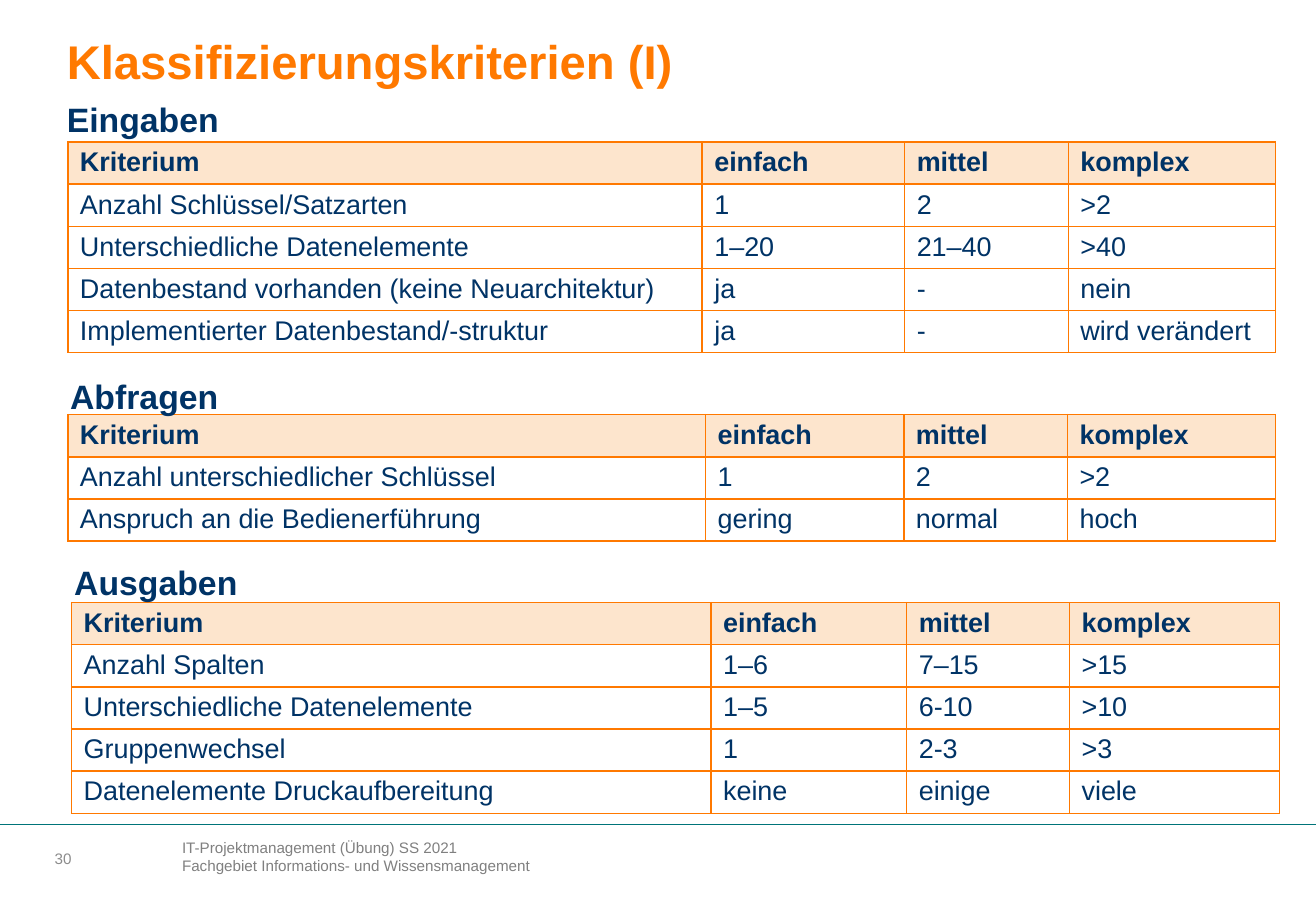
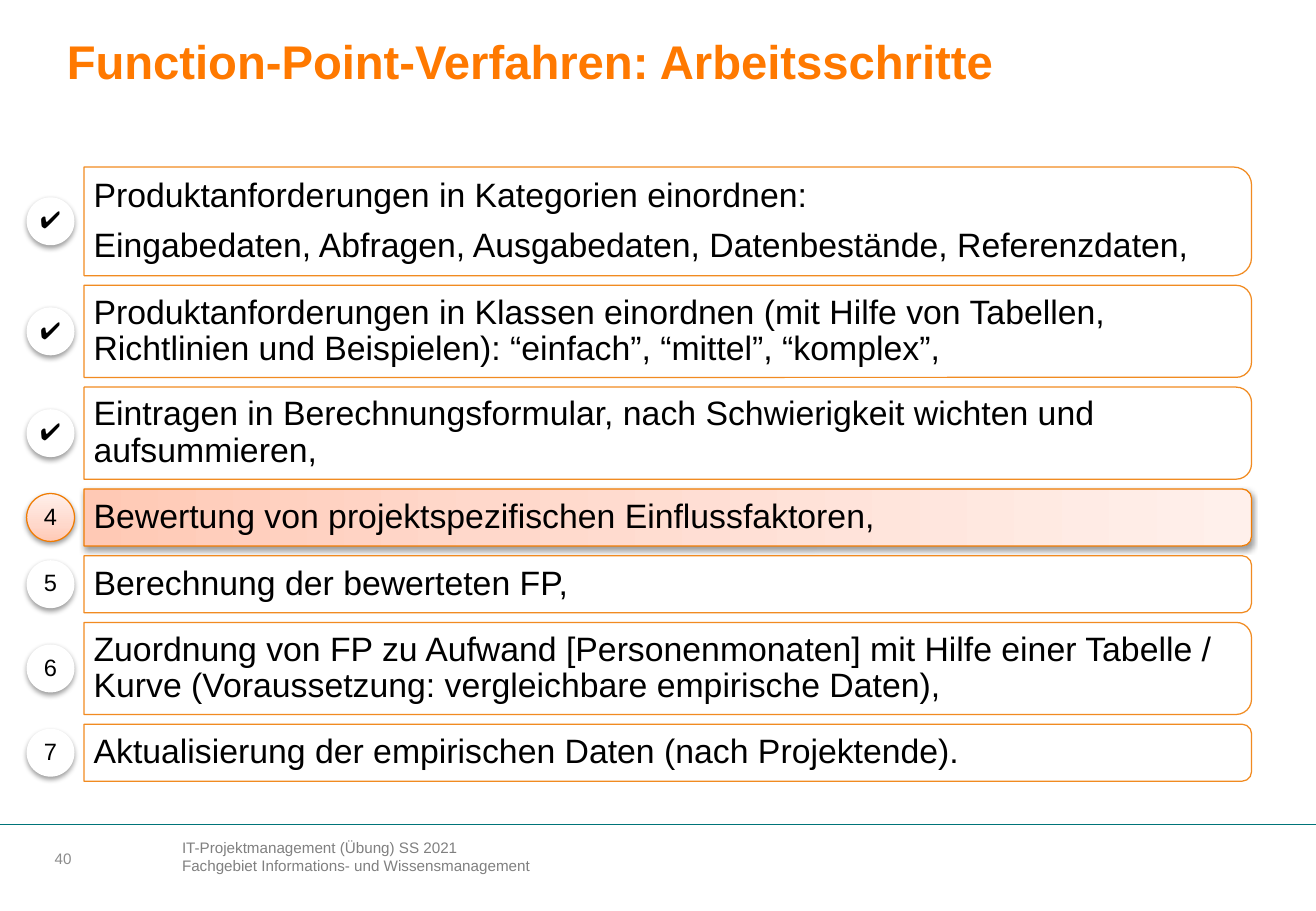
from dataclasses import dataclass

from lxml.etree import SubElement
from pptx import Presentation
from pptx.dml.color import RGBColor
from pptx.enum.shapes import MSO_CONNECTOR, MSO_SHAPE
from pptx.enum.text import MSO_ANCHOR as Anchor, MSO_AUTO_SIZE, PP_ALIGN as Align
from pptx.oxml.ns import qn
from pptx.util import Pt

COLORS = {
    "orange": "FF7900", "navy": "003366", "header": "FDE5CD", "white": "FFFFFF",
    "black": "000000", "footer": "808080", "number": "8C8C8C", "rule": "007479",
    "step_line": "F07F09", "active_line": "F07C03",
}
ACTIVE_STOPS = ((0, "FFC9B5"), (35, "FFD8CB"), (100, "FFF0EB"))
FONT = "Arial"
SLIDE_W, SLIDE_H = 780, 540
ROW_H = 25
STEP_LEFT, STEP_TOP, STEP_W, STEP_GAP = 49.8, 99, 692, 5.75
MARKER_LEFT, MARKER_SIZE = 15.8, 28.4
TWO_PARAGRAPHS, TWO_LINES, ONE_LINE = 64.4, 54.6, 33.8


@dataclass(frozen=True)
class Box:
    left: float
    top: float
    width: float
    height: float


@dataclass(frozen=True)
class Style:
    size: float
    color: str
    bold: bool = False
    align: Align = Align.LEFT
    line_spacing: float = 1.0
    space_after: float = 0


@dataclass(frozen=True)
class Criteria:
    heading: str
    heading_box: Box
    left: float
    top: float
    widths: tuple[float, ...]
    rows: tuple[tuple[str, ...], ...]


@dataclass(frozen=True)
class Step:
    marker: str
    height: float
    lines: tuple[str, ...]
    bold_marker: bool = False
    active: bool = False


TITLE = Style(28, "orange", True)
HEADING = Style(20, "navy", True)
HEADER_CELL = Style(16, "navy", True)
BODY_CELL = Style(16, "navy")
FOOTER = Style(9, "footer")
NUMBER = Style(9, "number")
STEP_TEXT = Style(20, "black", line_spacing=0.9, space_after=7.7)

HEADER_ROW = ("Kriterium", "einfach", "mittel", "komplex")
CRITERIA = (
    Criteria("Eingaben", Box(32.4, 54.8, 724, 409), 40.2, 84.2, (376, 120, 97, 123), (
        ("Anzahl Schlüssel/Satzarten", "1", "2", ">2"),
        ("Unterschiedliche Datenelemente", "1–20", "21–40", ">40"),
        ("Datenbestand vorhanden (keine Neuarchitektur)", "ja", "-", "nein"),
        ("Implementierter Datenbestand/-struktur", "ja", "-", "wird verändert"),
    )),
    Criteria("Abfragen", Box(34.5, 217.5, 163, 34.5), 40.2, 245.8, (378, 117.5, 97, 123.5), (
        ("Anzahl unterschiedlicher Schlüssel", "1", "2", ">2"),
        ("Anspruch an die Bedienerführung", "gering", "normal", "hoch"),
    )),
    Criteria("Ausgaben", Box(36.9, 327.6, 138, 34.5), 42.4, 357.2, (379, 116, 96.5, 124.5), (
        ("Anzahl Spalten", "1–6", "7–15", ">15"),
        ("Unterschiedliche Datenelemente", "1–5", "6-10", ">10"),
        ("Gruppenwechsel", "1", "2-3", ">3"),
        ("Datenelemente Druckaufbereitung", "keine", "einige", "viele"),
    )),
)
STEPS = (
    Step("✔", TWO_PARAGRAPHS, (
        "Produktanforderungen in Kategorien einordnen:",
        "Eingabedaten, Abfragen, Ausgabedaten, Datenbestände, Referenzdaten,",
    ), bold_marker=True),
    Step("✔", TWO_LINES, (
        "Produktanforderungen in Klassen einordnen (mit Hilfe von Tabellen, "
        "Richtlinien und Beispielen): “einfach”, “mittel”, “komplex”,",
    ), bold_marker=True),
    Step("✔", TWO_LINES, (
        "Eintragen in Berechnungsformular, nach Schwierigkeit wichten und aufsummieren,",
    )),
    Step("4", ONE_LINE, ("Bewertung von projektspezifischen Einflussfaktoren,",), active=True),
    Step("5", ONE_LINE, ("Berechnung der bewerteten FP,",)),
    Step("6", TWO_LINES, (
        "Zuordnung von FP zu Aufwand [Personenmonaten] mit Hilfe einer Tabelle / "
        "Kurve (Voraussetzung: vergleichbare empirische Daten),",
    )),
    Step("7", ONE_LINE, ("Aktualisierung der empirischen Daten (nach Projektende).",)),
)


def rgb(name: str) -> RGBColor:
    return RGBColor.from_string(COLORS[name])


def lengths(box: Box) -> tuple[Pt, ...]:
    return Pt(box.left), Pt(box.top), Pt(box.width), Pt(box.height)


def write(frame, lines: tuple[str, ...], style: Style) -> None:
    for index, line in enumerate(lines):
        paragraph = frame.paragraphs[0] if index == 0 else frame.add_paragraph()
        paragraph.alignment = style.align
        paragraph.line_spacing = style.line_spacing
        paragraph.space_before = Pt(0)
        paragraph.space_after = Pt(style.space_after)
        run = paragraph.add_run()
        run.text = line
        run.font.name = FONT
        run.font.size = Pt(style.size)
        run.font.bold = style.bold
        run.font.color.rgb = rgb(style.color)


def fill_frame(frame, lines: tuple[str, ...], style: Style, anchor=Anchor.MIDDLE,
               inset_x: float = 7.2, inset_y: float = 3.6) -> None:
    frame.word_wrap = True
    frame.auto_size = MSO_AUTO_SIZE.NONE
    frame.vertical_anchor = anchor
    frame.margin_left = frame.margin_right = Pt(inset_x)
    frame.margin_top = frame.margin_bottom = Pt(inset_y)
    write(frame, lines, style)


def add_text(slide, box: Box, lines: tuple[str, ...], style: Style, **layout) -> None:
    fill_frame(slide.shapes.add_textbox(*lengths(box)).text_frame, lines, style, **layout)


def fill_placeholder(placeholder, box: Box, text: str, style: Style, anchor) -> None:
    placeholder.left, placeholder.top, placeholder.width, placeholder.height = lengths(box)
    fill_frame(placeholder.text_frame, (text,), style, anchor)


def start_slide(deck, layout: int, title: str, number: str):
    slide = deck.slides.add_slide(deck.slide_layouts[layout])
    slide.background.fill.solid()
    slide.background.fill.fore_color.rgb = rgb("white")
    add_text(slide, Box(100.8, 493.2, 436, 40),
             ("IT-Projektmanagement (Übung) SS 2021",
              "Fachgebiet Informations- und Wissensmanagement"),
             FOOTER, anchor=Anchor.TOP)
    add_text(slide, Box(32.4, 499.7, 52, 18), (number,), NUMBER, inset_x=0, inset_y=0)
    rule = slide.shapes.add_connector(
        MSO_CONNECTOR.STRAIGHT, Pt(0), Pt(489), Pt(SLIDE_W), Pt(489))
    rule.line.color.rgb = rgb("rule")
    rule.line.width = Pt(0.5)
    SubElement(rule._element.spPr, qn("a:effectLst"))
    fill_placeholder(slide.shapes.title, Box(32.4, 13, 724, 45.4), title, TITLE, Anchor.MIDDLE)
    return slide


def add_borders(cell) -> None:
    properties = cell._tc.get_or_add_tcPr()
    for side in ("lnL", "lnR", "lnT", "lnB"):
        border = SubElement(properties, qn(f"a:{side}"), w=str(Pt(1)))
        solid = SubElement(border, qn("a:solidFill"))
        SubElement(solid, qn("a:srgbClr"), val=COLORS["orange"])


def add_criteria(slide, criteria: Criteria) -> None:
    rows = (HEADER_ROW, *criteria.rows)
    box = Box(criteria.left, criteria.top, sum(criteria.widths), ROW_H * len(rows))
    table = slide.shapes.add_table(len(rows), len(HEADER_ROW), *lengths(box)).table
    table.horz_banding = False
    for column, width in zip(table.columns, criteria.widths):
        column.width = Pt(width)
    for row_index, texts in enumerate(rows):
        table.rows[row_index].height = Pt(ROW_H)
        for column_index, text in enumerate(texts):
            cell = table.cell(row_index, column_index)
            cell.margin_left = cell.margin_right = Pt(7.2)
            cell.margin_top = cell.margin_bottom = Pt(3.3)
            add_borders(cell)
            if row_index == 0:
                cell.fill.solid()
                cell.fill.fore_color.rgb = rgb("header")
            else:
                cell.fill.background()
            write(cell.text_frame, (text,), BODY_CELL if row_index else HEADER_CELL)


def add_shadow(shape) -> None:
    effects = shape._element.spPr.find(qn("a:effectLst"))
    shadow = SubElement(effects, qn("a:outerShdw"), blurRad="40000", dist="20000",
                        dir="5400000", rotWithShape="0")
    color = SubElement(shadow, qn("a:srgbClr"), val=COLORS["black"])
    SubElement(color, qn("a:alpha"), val="38000")


def fill_active(shape) -> None:
    shape.fill.gradient()
    shape.fill.gradient_angle = 90
    stops = shape._element.spPr.find(qn("a:gradFill")).find(qn("a:gsLst"))
    for stop in list(stops):
        stops.remove(stop)
    for position, color in ACTIVE_STOPS:
        stop = SubElement(stops, qn("a:gs"), pos=str(position * 1000))
        SubElement(stop, qn("a:srgbClr"), val=color)
    shape.line.color.rgb = rgb("active_line")
    shape.line.width = Pt(0.75)


def fill_white(shape) -> None:
    shape.fill.solid()
    shape.fill.fore_color.rgb = rgb("white")


def add_bar(slide, step: Step, middle: float) -> None:
    upright = Box(STEP_LEFT + (STEP_W - step.height) / 2, middle - STEP_W / 2,
                  step.height, STEP_W)
    bar = slide.shapes.add_shape(MSO_SHAPE.ROUND_2_SAME_RECTANGLE, *lengths(upright))
    bar.rotation = 90
    bar.shadow.inherit = False
    if step.active:
        fill_active(bar)
        add_shadow(bar)
        return
    fill_white(bar)
    bar.line.color.rgb = rgb("step_line")
    bar.line.width = Pt(0.75)
    for color in bar._element.spPr.iter(qn("a:srgbClr")):
        SubElement(color, qn("a:alpha"), val="90000")


def add_marker(slide, step: Step, middle: float) -> None:
    circle = Box(MARKER_LEFT, middle - MARKER_SIZE / 2, MARKER_SIZE, MARKER_SIZE)
    marker = slide.shapes.add_shape(MSO_SHAPE.OVAL, *lengths(circle))
    marker.shadow.inherit = False
    if step.active:
        fill_active(marker)
    else:
        fill_white(marker)
        marker.line.fill.background()
    add_shadow(marker)
    style = Style(14, "black", step.bold_marker, Align.CENTER, 0.9)
    fill_frame(marker.text_frame, (step.marker,), style, inset_x=0, inset_y=0)


def add_steps(slide) -> None:
    top = STEP_TOP
    for step in STEPS:
        middle = top + step.height / 2
        add_bar(slide, step, middle)
        add_text(slide, Box(STEP_LEFT, top + 2, STEP_W - 3, step.height - 4),
                 step.lines, STEP_TEXT, inset_x=5.7, inset_y=4.4)
        add_marker(slide, step, middle)
        top += step.height + STEP_GAP


def build_criteria_slide(deck) -> None:
    slide = start_slide(deck, 1, "Klassifizierungskriterien (I)", "30")
    inputs, *others = CRITERIA
    body = slide.placeholders[1]
    properties = body.text_frame.paragraphs[0]._p.get_or_add_pPr()
    properties.set("marL", "0")
    properties.set("indent", "0")
    SubElement(properties, qn("a:buNone"))
    fill_placeholder(body, inputs.heading_box, inputs.heading, HEADING, Anchor.TOP)
    for criteria in CRITERIA:
        add_criteria(slide, criteria)
    for criteria in others:
        add_text(slide, criteria.heading_box, (criteria.heading,), HEADING)


def main() -> None:
    deck = Presentation()
    deck.slide_width, deck.slide_height = Pt(SLIDE_W), Pt(SLIDE_H)
    build_criteria_slide(deck)
    add_steps(start_slide(deck, 5, "Function-Point-Verfahren: Arbeitsschritte", "40"))
    deck.save("out.pptx")


if __name__ == "__main__":
    main()
